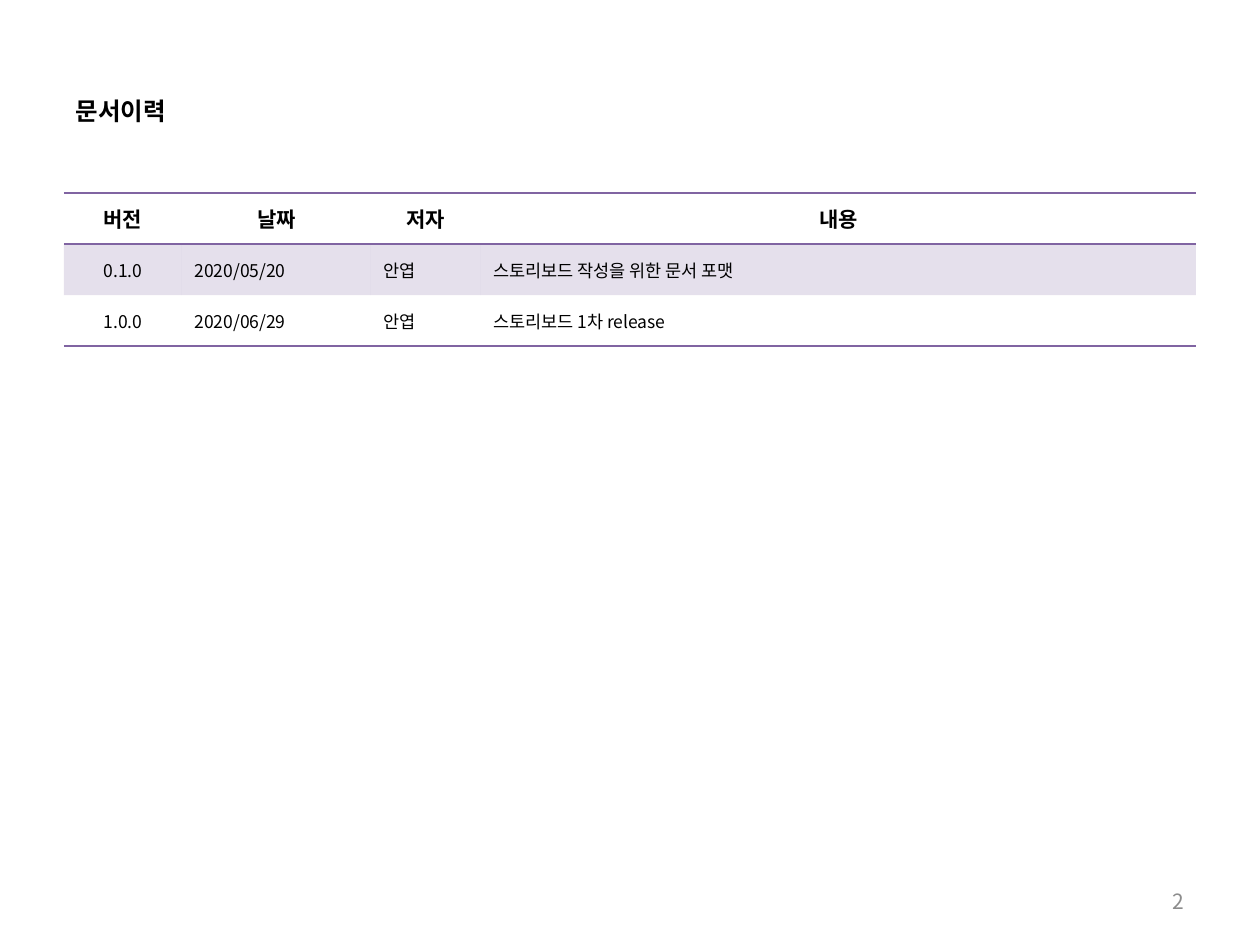
import pptx
import pptx.dml.color
import pptx.enum.text
import pptx.oxml.ns
import pptx.util
from lxml import etree

PX = 914400 / 126
FONT = "Noto Sans CJK KR"
COLORS = {"text": "000000", "accent": "8064A2", "page": "8C8C8C"}
ALIGN = pptx.enum.text.PP_ALIGN
MIDDLE = pptx.enum.text.MSO_ANCHOR.MIDDLE
NO_GRID_STYLE = "{2D5ABB26-0587-4C30-8999-92F81FD0307C}"

COLUMN_WIDTHS = [118, 189, 110, 715]
ROW_HEIGHT = 51
ROWS = [
    ["버전", "날짜", "저자", "내용"],
    ["0.1.0", "2020/05/20", "안엽", "스토리보드 작성을 위한 문서 포맷"],
    ["1.0.0", "2020/06/29", "안엽", "스토리보드 1차 release"],
]


def px(length):
    """Turn pixels into EMU."""
    return pptx.util.Emu(round(length * PX))


def rgb(name):
    """Return a named colour."""
    return pptx.dml.color.RGBColor.from_string(COLORS[name])


def add_element(parent, tag, **attributes):
    """Append a DrawingML element to its parent."""
    return etree.SubElement(parent, pptx.oxml.ns.qn(tag), **attributes)


def write_text(frame, text, size, align, bold=False, color="text"):
    """Write one formatted paragraph into a text frame."""
    paragraph = frame.paragraphs[0]
    paragraph.text = text
    paragraph.alignment = align
    font = paragraph.font
    font.size = pptx.util.Pt(size)
    font.bold = bold
    font.color.rgb = rgb(color)
    font.name = FONT
    properties = paragraph._p.pPr.find(pptx.oxml.ns.qn("a:defRPr"))
    add_element(properties, "a:ea", typeface=FONT)


def add_title(slide, text):
    """Place and format the slide title."""
    title = slide.shapes.title
    title.left, title.top, title.width, title.height = map(px, (63, 76, 1134, 69))
    title.text_frame.vertical_anchor = MIDDLE
    write_text(title.text_frame, text, 14, ALIGN.LEFT, bold=True)


def add_border(cell, edge):
    """Draw a one-point accent line on one edge of a cell."""
    line = add_element(cell._tc.get_or_add_tcPr(), f"a:{edge}", w="12700")
    fill = add_element(line, "a:solidFill")
    add_element(fill, "a:srgbClr", val=COLORS["accent"])


def tint_cell(cell):
    """Fill a cell with the accent colour at 20 percent opacity."""
    cell.fill.solid()
    cell.fill.fore_color.rgb = rgb("accent")
    color = next(cell._tc.tcPr.iterchildren(pptx.oxml.ns.qn("a:solidFill")))[0]
    add_element(color, "a:alpha", val="20000")


def format_cell(cell, text, row, column):
    """Write a history cell with its borders and fill."""
    header = row == 0
    centered = header or column == 0
    cell.vertical_anchor = MIDDLE
    write_text(cell.text_frame, text, 12 if header else 10,
               ALIGN.CENTER if centered else ALIGN.LEFT, bold=header)
    if header:
        add_border(cell, "lnT")
    if header or row == len(ROWS) - 1:
        add_border(cell, "lnB")
    if row % 2:
        tint_cell(cell)
    else:
        cell.fill.background()


def add_history_table(slide):
    """Add the document history table."""
    frame = slide.shapes.add_table(
        len(ROWS), len(COLUMN_WIDTHS), px(64), px(193),
        px(sum(COLUMN_WIDTHS)), px(ROW_HEIGHT * len(ROWS)))
    table = frame.table
    table.horz_banding = False
    table._tbl.tblPr.find(pptx.oxml.ns.qn("a:tableStyleId")).text = NO_GRID_STYLE
    for column, width in zip(table.columns, COLUMN_WIDTHS):
        column.width = px(width)
    for row, texts in enumerate(ROWS):
        table.rows[row].height = px(ROW_HEIGHT)
        for column, text in enumerate(texts):
            format_cell(table.cell(row, column), text, row, column)


def add_page_number(slide, number):
    """Add the page number at the lower right."""
    box = slide.shapes.add_textbox(px(903), px(876), px(294), px(50))
    box.text_frame.word_wrap = True
    box.text_frame.vertical_anchor = MIDDLE
    write_text(box.text_frame, number, 12, ALIGN.RIGHT, color="page")


def main():
    """Build and save the document history slide."""
    presentation = pptx.Presentation()
    presentation.slide_width, presentation.slide_height = px(1260), px(945)
    slide = presentation.slides.add_slide(presentation.slide_layouts[5])
    add_title(slide, "문서이력")
    add_history_table(slide)
    add_page_number(slide, "2")
    presentation.save("out.pptx")


if __name__ == "__main__":
    main()
